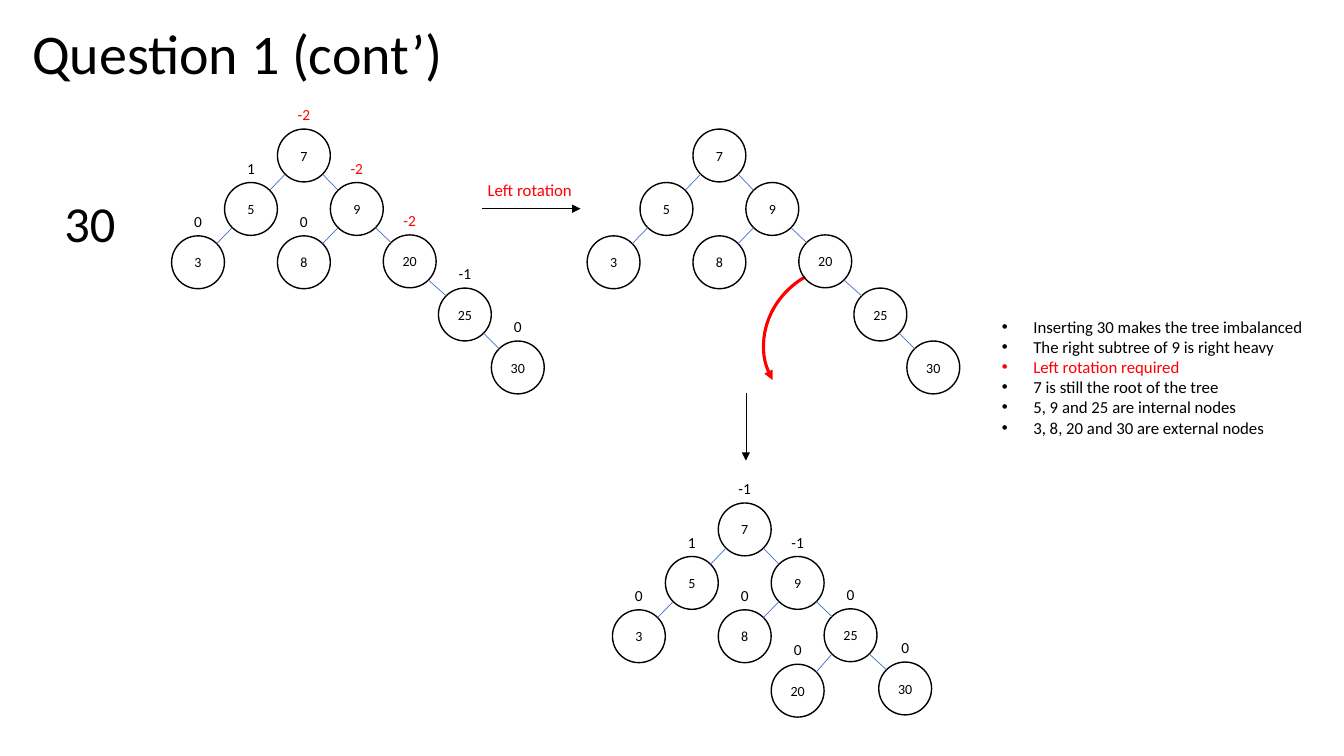
from lxml.etree import SubElement
from pptx import Presentation
from pptx.dml.color import RGBColor
from pptx.enum.shapes import MSO_CONNECTOR, MSO_SHAPE
from pptx.enum.text import MSO_ANCHOR, MSO_AUTO_SIZE, PP_ALIGN
from pptx.oxml.ns import qn
from pptx.util import Pt

FONT = "Calibri"
BLACK, RED, BLUE = "000000", "FF0000", "4472C4"
SIZE = 37.75
RIM = SIZE / 2 * 0.5 ** 0.5
CORE = {
    "7": (0, 0, None),
    "5": (-37.8, 38.2, "7"),
    "9": (37.8, 38.2, "7"),
    "3": (-75.6, 76.3, "5"),
    "8": (0, 76.3, "9"),
}
HEAVY = CORE | {
    "20": (75.6, 75.6, "9"),
    "25": (115, 113.6, "20"),
    "30": (152.8, 151.4, "25"),
}
EVEN = CORE | {
    "25": (75.6, 75.6, "9"),
    "20": (37.8, 115.2, "25"),
    "30": (114.6, 113.6, "25"),
}
NOTES = [
    ("Inserting 30 makes the tree imbalanced", BLACK),
    ("The right subtree of 9 is right heavy", BLACK),
    ("Left rotation required", RED),
    ("7 is still the root of the tree", BLACK),
    ("5, 9 and 25 are internal nodes", BLACK),
    ("3, 8, 20 and 30 are external nodes", BLACK),
]


def paint(code):
    """Turn a hex string into a colour."""
    return RGBColor.from_string(code)


def write(para, text, size, tint=BLACK, align=PP_ALIGN.LEFT):
    """Add one run to a paragraph."""
    para.alignment = align
    run = para.add_run()
    run.text = text
    run.font.name = FONT
    run.font.size = Pt(size)
    run.font.color.rgb = paint(tint)


def label(slide, box, text, size, tint=BLACK, align=PP_ALIGN.LEFT, wrap=True):
    """Place a text box with one run."""
    frame = slide.shapes.add_textbox(*map(Pt, box)).text_frame
    frame.word_wrap = wrap
    write(frame.paragraphs[0], text, size, tint, align)


def point(shape):
    """Put an arrowhead at the end of a line."""
    SubElement(shape.line._get_or_add_ln(), qn("a:tailEnd"), type="triangle")


def link(slide, start, end, tint):
    """Draw a thin straight line."""
    line = slide.shapes.add_connector(
        MSO_CONNECTOR.STRAIGHT, *map(Pt, (*start, *end)))
    line.line.color.rgb = paint(tint)
    line.line.width = Pt(0.5)
    SubElement(line._element.spPr, qn("a:effectLst"))
    return line


def node(slide, left, top, key):
    """Draw one round node with its key."""
    disc = slide.shapes.add_shape(
        MSO_SHAPE.OVAL, Pt(left), Pt(top), Pt(SIZE), Pt(SIZE))
    disc.shadow.inherit = False
    disc.fill.background()
    disc.line.color.rgb = paint(BLACK)
    disc.line.width = Pt(1)
    frame = disc.text_frame
    frame.vertical_anchor = MSO_ANCHOR.MIDDLE
    write(frame.paragraphs[0], key, 10, align=PP_ALIGN.CENTER)


def tree(slide, left, top, nodes, marks=()):
    """Draw a tree whose root box starts at left, top."""
    half = SIZE / 2
    for key, (x, y, root) in nodes.items():
        node(slide, left + x, top + y, key)
        if root:
            px, py, _ = nodes[root]
            side = RIM if x > px else -RIM
            link(slide, (left + px + half + side, top + py + half + RIM),
                 (left + x + half - side, top + y + half - RIM), BLUE)
    for key, mark in zip(nodes, marks):
        x, y, _ = nodes[key]
        label(slide, (left + x + half - 15.5, top + y - 20.6, 31, 20.6), mark,
              11, RED if mark == "-2" else BLACK, PP_ALIGN.CENTER)


def title(slide, left, top, wide, high):
    """Set the slide title."""
    head = slide.shapes.title
    head.left, head.top, head.width, head.height = map(
        Pt, (left, top, wide, high))
    frame = head.text_frame
    frame.auto_size = MSO_AUTO_SIZE.NONE
    frame.vertical_anchor = MSO_ANCHOR.TOP
    write(frame.paragraphs[0], "Question 1 (cont’)", 40)


def turn(slide, left, top, wide, high):
    """Draw the curved arrow of the rotation."""
    arc = slide.shapes.add_shape(
        MSO_SHAPE.ARC, *map(Pt, (left, top, wide, high)))
    arc.shadow.inherit = False
    arc.fill.background()
    arc.line.color.rgb = paint(RED)
    arc.line.width = Pt(2.25)
    arc.rotation = 330
    arc._element.spPr.find(qn("a:xfrm")).set("flipH", "1")
    point(arc)


def step(slide, left, top, wide):
    """Draw the named arrow between the upper trees."""
    label(slide, (left, top, wide, 21.6), "Left rotation", 12, RED, wrap=False)
    point(link(slide, (left + 2.9, top + 24.5),
               (left + wide - 2.2, top + 24.5), BLACK))


def notes(slide, left, top, wide, high):
    """Write the bullet list."""
    frame = slide.shapes.add_textbox(
        *map(Pt, (left, top, wide, high))).text_frame
    frame.word_wrap = False
    for i, (text, tint) in enumerate(NOTES):
        para = frame.add_paragraph() if i else frame.paragraphs[0]
        write(para, text, 12, tint)
        props = para._p.get_or_add_pPr()
        props.set("marL", str(Pt(22.5)))
        props.set("indent", str(Pt(-22.5)))
        SubElement(props, qn("a:buFont"), typeface="Arial")
        SubElement(props, qn("a:buChar"), char="•")


def main():
    """Build and save the slide."""
    deck = Presentation()
    deck.slide_width, deck.slide_height = Pt(960), Pt(540)
    slide = deck.slides.add_slide(deck.slide_layouts[5])
    title(slide, 15.8, 9.4, 357.8, 55.4)
    label(slide, (38.9, 133.9, 122.4, 51.1), "30", 36)
    tree(slide, 198.2, 92.2, HEAVY,
         ("-2", "1", "-2", "0", "0", "-2", "-1", "0"))
    turn(slide, 544.3, 190.8, 113.8, 104.4)
    tree(slide, 495, 92.2, HEAVY)
    tree(slide, 513.1, 359.3, EVEN,
         ("-1", "1", "-1", "0", "0", "0", "0", "0"))
    notes(slide, 708.5, 222.5, 231.8, 94.3)
    point(link(slide, (532.8, 280.8), (532.8, 329), BLACK))
    step(slide, 341.3, 124.6, 75.6)
    deck.save("out.pptx")


if __name__ == "__main__":
    main()
